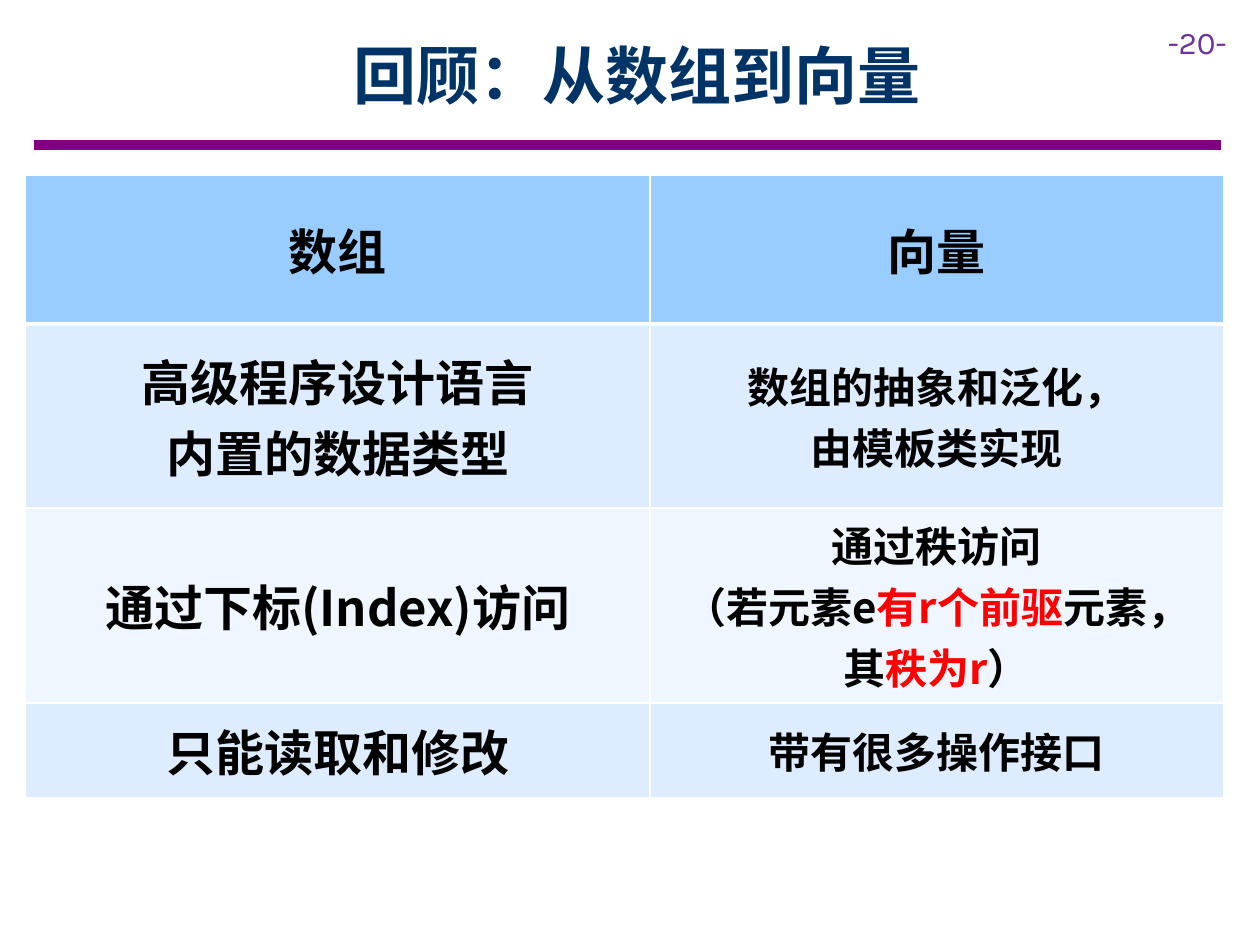
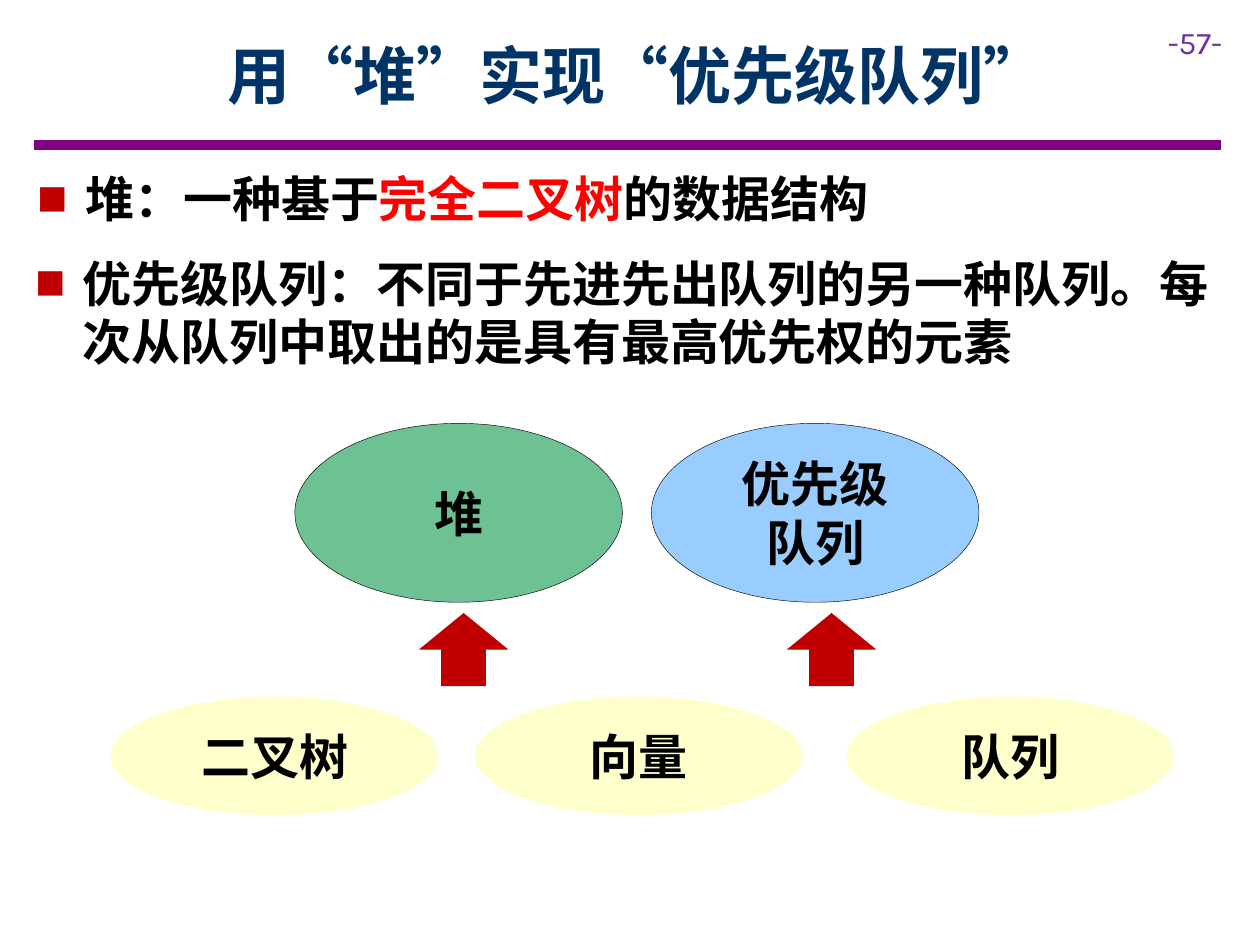
from lxml import etree
from pptx import Presentation
from pptx.dml.color import RGBColor
from pptx.enum.shapes import MSO_CONNECTOR, MSO_SHAPE
from pptx.enum.text import MSO_ANCHOR, PP_ALIGN
from pptx.oxml.ns import qn
from pptx.util import Inches, Pt

CENTER, LEFT = PP_ALIGN.CENTER, PP_ALIGN.LEFT
TOP, MIDDLE = MSO_ANCHOR.TOP, MSO_ANCHOR.MIDDLE
STRAIGHT = MSO_CONNECTOR.STRAIGHT
ELLIPSE, ARROW = MSO_SHAPE.OVAL, MSO_SHAPE.RIGHT_ARROW

COLORS = {
    "title": "003366", "rule": "800080", "number": "7030A0",
    "text": "000000", "key": "FF0000", "accent": "C00000", "border": "FFFFFF",
    "header": "99CCFF", "odd": "DEECFF", "even": "EFF6FF",
    "heap": "009242", "queue": "99CCFF", "base": "FFFFCC",
}
BODY_FONT, NUMBER_FONT = "Noto Sans CJK SC", "Karla"

TITLE_FORMAT = {"size": Pt(36), "bold": True, "name": BODY_FONT}
BODY_FORMAT = {"size": Pt(28), "bold": True, "name": BODY_FONT}
SMALL_FORMAT = {**BODY_FORMAT, "size": Pt(24)}
NUMBER_FORMAT = {"size": Pt(18), "bold": False, "name": NUMBER_FONT}


def rgb(name):
    return RGBColor.from_string(COLORS[name])


def add_element(parent, tag, **attributes):
    return etree.SubElement(parent, qn(tag), attributes)


def write_runs(paragraph, runs, formats, color="text"):
    """Runs are strings, or (string, colour name) pairs."""
    for item in runs:
        words, run_color = (item, color) if isinstance(item, str) else item
        run = paragraph.add_run()
        run.text = words
        for name, value in formats.items():
            setattr(run.font, name, value)
        run.font.color.rgb = rgb(run_color)
        add_element(run.font._element, "a:ea", typeface=formats["name"])


def write_lines(frame, lines, formats, color="text", align=CENTER):
    for index, runs in enumerate(lines):
        paragraph = frame.paragraphs[0] if index == 0 else frame.add_paragraph()
        paragraph.alignment = align
        write_runs(paragraph, runs, formats, color)


def add_text_box(slide, box, anchor=TOP):
    frame = slide.shapes.add_textbox(*map(Inches, box)).text_frame
    frame.word_wrap = True
    frame.vertical_anchor = anchor
    return frame


# Parts shared by all slides
def add_slide(presentation, title, number):
    slide = presentation.slides.add_slide(presentation.slide_layouts[6])
    rule = slide.shapes.add_connector(
        STRAIGHT, Inches(0.27), Inches(1.15), Inches(9.69), Inches(1.15))
    rule.line.color.rgb = rgb("rule")
    rule.line.width = Pt(6)
    add_element(rule._element.spPr, "a:effectLst")
    write_lines(add_text_box(slide, (9.17, 0.13, 0.83, 0.4)), [[f"-{number}-"]],
                NUMBER_FORMAT, "number", LEFT)
    write_lines(add_text_box(slide, (0.9, 0.09, 8.31, 1), MIDDLE), [[title]],
                TITLE_FORMAT, "title")
    return slide


# Comparison table
def set_borders(cell, bottom_width):
    properties = cell._tc.get_or_add_tcPr()
    for side, width in (("L", 1), ("R", 1), ("T", 1), ("B", bottom_width)):
        line = add_element(properties, f"a:ln{side}", w=str(Pt(width)))
        fill = add_element(line, "a:solidFill")
        add_element(fill, "a:srgbClr", val=COLORS["border"])


def add_comparison_table(slide, left, top, widths, heights, rows):
    box = (left, top, sum(widths), sum(heights))
    table = slide.shapes.add_table(
        len(rows), len(widths), *map(Inches, box)).table
    for column, width in zip(table.columns, widths):
        column.width = Inches(width)
    for row_index, (height, contents) in enumerate(zip(heights, rows)):
        table.rows[row_index].height = Inches(height)
        is_header = row_index == 0
        fill = "header" if is_header else ("even", "odd")[row_index % 2]
        for column_index, lines in enumerate(contents):
            cell = table.cell(row_index, column_index)
            set_borders(cell, 3 if is_header else 1)
            cell.fill.solid()
            cell.fill.fore_color.rgb = rgb(fill)
            cell.vertical_anchor = MIDDLE
            formats = BODY_FORMAT if is_header or column_index == 0 else SMALL_FORMAT
            write_lines(cell.text_frame, lines, formats)


# Definitions with square bullets
def add_bullet(slide, box, runs):
    paragraph = add_text_box(slide, box).paragraphs[0]
    paragraph.space_after = Pt(6)
    properties = paragraph._p.get_or_add_pPr()
    properties.set("marL", str(Inches(0.38)))
    properties.set("indent", str(-Inches(0.38)))
    bullet_color = add_element(properties, "a:buClr")
    add_element(bullet_color, "a:srgbClr", val=COLORS["accent"])
    add_element(properties, "a:buSzPct", val="62000")
    add_element(properties, "a:buFont", typeface=BODY_FONT)
    add_element(properties, "a:buChar", char="■")
    write_runs(paragraph, runs, BODY_FORMAT)


# Diagram of structures and what they are built from
def add_filled_shape(slide, kind, box, fill, outlined=False):
    shape = slide.shapes.add_shape(kind, *map(Inches, box))
    shape.shadow.inherit = False
    shape.fill.solid()
    shape.fill.fore_color.rgb = rgb(fill)
    if outlined:
        shape.line.color.rgb = rgb("text")
        shape.line.width = Pt(0.25)
    else:
        shape.line.fill.background()
    return shape


def add_ellipse(slide, box, lines, fill, outlined=False):
    ellipse = add_filled_shape(slide, ELLIPSE, box, fill, outlined)
    frame = ellipse.text_frame
    frame.word_wrap = True
    frame.vertical_anchor = MIDDLE
    for side in ("left", "top", "right", "bottom"):
        setattr(frame, f"margin_{side}", Inches(0.1))
    write_lines(frame, [[line] for line in lines], BODY_FORMAT)
    return ellipse


def add_structure_diagram(slide, left, top):
    width = 2.6
    add_ellipse(slide, (left + 4.29, top, width, 1.42), ["优先级", "队列"],
                "queue", outlined=True)
    for offset, name in ((0, "二叉树"), (2.89, "向量"), (5.84, "队列")):
        add_ellipse(slide, (left + offset, top + 2.17, width, 0.94), [name], "base")
    heap = add_ellipse(slide, (left + 1.46, top, width, 1.42), ["堆"],
                       "heap", outlined=True)
    heap_color = heap._element.spPr.find(qn("a:solidFill"))[0]
    add_element(heap_color, "a:alpha", val="57000")
    for offset in (2.51, 5.43):
        arrow = add_filled_shape(
            slide, ARROW, (left + offset, top + 1.44, 0.58, 0.71), "accent")
        arrow.rotation = 270


def build_vector_slide(presentation):
    slide = add_slide(presentation, "回顾：从数组到向量", 20)
    rows = [
        ([["数组"]], [["向量"]]),
        ([["高级程序设计语言"], ["内置的数据类型"]],
         [["数组的抽象和泛化，"], ["由模板类实现"]]),
        ([["通过下标(Index)访问"]],
         [["通过秩访问"],
          ["（若元素e", ("有r个前驱", "key"), "元素，"],
          ["其", ("秩为r", "key"), "）"]]),
        ([["只能读取和修改"]], [["带有很多操作接口"]]),
    ]
    add_comparison_table(slide, 0.2, 1.39, (4.96, 4.55),
                         (1.18, 1.46, 1.55, 0.75), rows)


def build_heap_slide(presentation):
    slide = add_slide(presentation, "用“堆”实现“优先级队列”", 57)
    add_bullet(slide, (0.2, 1.29, 8.03, 0.57),
               ["堆：一种基于", ("完全二叉树", "key"), "的数据结构"])
    add_bullet(slide, (0.18, 1.96, 9.7, 1.04),
               ["优先级队列：不同于先进先出队列的另一种队列。"
                "每次从队列中取出的是具有最高优先权的元素"])
    add_structure_diagram(slide, 0.88, 3.36)


def main():
    presentation = Presentation()
    presentation.slide_width = Inches(10)
    presentation.slide_height = Inches(7.5)
    build_vector_slide(presentation)
    build_heap_slide(presentation)
    presentation.save("out.pptx")


if __name__ == "__main__":
    main()
